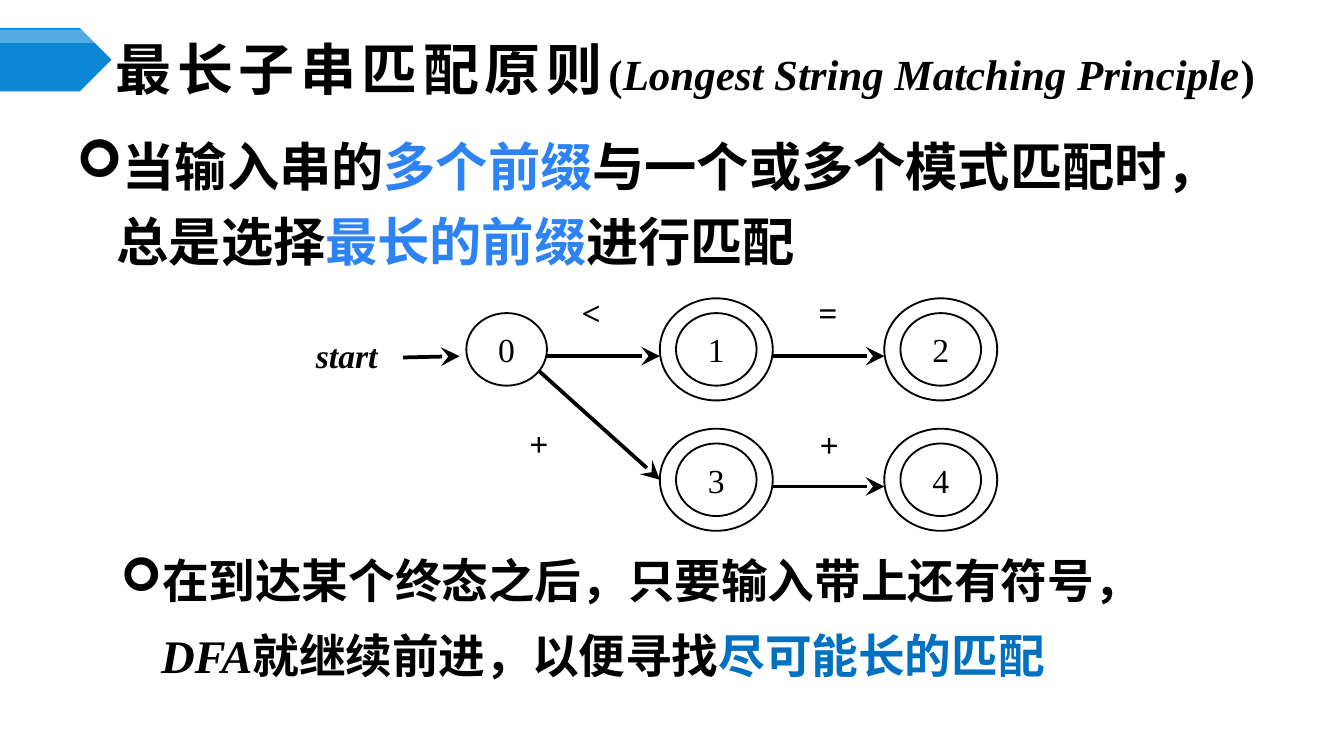
import dataclasses

import pptx
import pptx.dml.color
import pptx.enum.shapes
import pptx.enum.text
import pptx.oxml
import pptx.oxml.ns
import pptx.util

Inches = pptx.util.Inches
Pt = pptx.util.Pt
SHAPES = pptx.enum.shapes.MSO_SHAPE


@dataclasses.dataclass(frozen=True)
class Theme:
    latin: str = "Times New Roman"
    chinese: str = "Noto Sans CJK SC"
    bullet: str = "Wingdings"
    black: str = "000000"
    white: str = "FFFFFF"
    highlight: str = "2D83F4"
    result: str = "0070C0"
    banner: str = "0B87D6"
    title: int = 30
    subtitle: int = 23
    principle: int = 28
    detail: int = 25
    diagram: int = 18
    leading: int = 40


THEME = Theme()


def rgb(value):
    return pptx.dml.color.RGBColor.from_string(value)


def add_element(parent, tag, **attributes):
    element = pptx.oxml.parse_xml(f"<a:{tag} {pptx.oxml.ns.nsdecls('a')}/>")
    for name, value in attributes.items():
        element.set(name, str(value))
    parent.append(element)
    return element


def add_run(paragraph, text, size, color=THEME.black, bold=True, italic=False,
            font=THEME.latin, spacing=0):
    run = paragraph.add_run()
    run.text = text
    run.font.name = font
    run.font.size = Pt(size)
    run.font.bold = bold
    run.font.italic = italic
    run.font.color.rgb = rgb(color)
    properties = run.font._element
    properties.set("lang", "zh-CN")
    if spacing:
        properties.set("spc", str(spacing * 100))
    add_element(properties, "ea", typeface=THEME.chinese)


def add_text_box(shapes, left, top, width, height, wrap=True, middle=False):
    box = shapes.add_textbox(Inches(left), Inches(top), Inches(width), Inches(height))
    box.text_frame.word_wrap = wrap
    if middle:
        box.text_frame.vertical_anchor = pptx.enum.text.MSO_ANCHOR.MIDDLE
    return box


def add_plain_shape(shapes, kind, left, top, width, height, fill=None, outline=None):
    shape = shapes.add_shape(kind, Inches(left), Inches(top), Inches(width), Inches(height))
    shape.shadow.inherit = False
    if fill:
        shape.fill.solid()
        shape.fill.fore_color.rgb = rgb(fill)
    else:
        shape.fill.background()
    if outline:
        shape.line.color.rgb = rgb(outline)
        shape.line.width = Pt(1)
    else:
        shape.line.fill.background()
    return shape


def add_centered_text(shape, text, bold=False, italic=False):
    frame = shape.text_frame
    frame.word_wrap = False
    frame.vertical_anchor = pptx.enum.text.MSO_ANCHOR.MIDDLE
    paragraph = frame.paragraphs[0]
    paragraph.alignment = pptx.enum.text.PP_ALIGN.CENTER
    add_run(paragraph, text, THEME.diagram, bold=bold, italic=italic)


def add_arrow(shapes, start_x, start_y, end_x, end_y):
    arrow = shapes.add_connector(
        pptx.enum.shapes.MSO_CONNECTOR.STRAIGHT,
        Inches(start_x), Inches(start_y), Inches(end_x), Inches(end_y))
    arrow.line.color.rgb = rgb(THEME.black)
    arrow.line.width = Pt(2)
    add_element(arrow.line._get_or_add_ln(), "tailEnd", type="stealth", w="lg", len="lg")
    add_element(arrow._element.spPr, "effectLst")


def add_banner(slide, left, top, width, height):
    shapes = slide.shapes.add_group_shape().shapes
    add_plain_shape(shapes, SHAPES.PENTAGON, left, top, width, height, THEME.banner)
    gloss = add_plain_shape(shapes, SHAPES.PENTAGON, left, top + 0.01, width, 0.1, THEME.white)
    color = gloss._element.spPr.find(".//" + pptx.oxml.ns.qn("a:srgbClr"))
    add_element(color, "alpha", val=30000)


def add_title(slide, left, top, width, height):
    box = add_text_box(slide.shapes, left, top, width, height, middle=True)
    box.text_frame.margin_left = Inches(0.24)
    paragraph = box.text_frame.paragraphs[0]
    add_run(paragraph, "最长子串匹配原则", THEME.title, font=THEME.chinese, spacing=3)
    add_run(paragraph, "(", THEME.subtitle)
    add_run(paragraph, "Longest\u00a0String Matching\u00a0Principle", THEME.subtitle, italic=True)
    add_run(paragraph, ")", THEME.subtitle)


def add_bullet(slide, left, top, width, height, size, runs):
    box = add_text_box(slide.shapes, left, top, width, height)
    paragraph = box.text_frame.paragraphs[0]
    paragraph.line_spacing = Pt(THEME.leading)
    properties = paragraph._element.get_or_add_pPr()
    properties.set("marL", str(Inches(0.3)))
    properties.set("indent", str(-Inches(0.3)))
    add_element(properties, "buFont", typeface=THEME.bullet, charset="2")
    add_element(properties, "buChar", char="➢")
    for text, color, italic in runs:
        add_run(paragraph, text, size, color, italic=italic)


def add_automaton(slide, left, top):
    shapes = slide.shapes.add_group_shape().shapes
    columns = [left + offset for offset in (1.61, 3.17, 4.84)]
    rows = [top + offset for offset in (0.49, 1.46)]
    ring_width, ring_height = 0.84, 0.76
    state_width, state_height = 0.6, 0.54
    states = [("0", 0, 0), ("1", 1, 0), ("2", 2, 0), ("3", 1, 1), ("4", 2, 1)]
    for name, column, row in states:
        x, y = columns[column], rows[row]
        state = add_plain_shape(
            shapes, SHAPES.OVAL, x - state_width / 2, y - state_height / 2,
            state_width, state_height, THEME.white, THEME.black)
        add_centered_text(state, name)
        if column:
            add_plain_shape(
                shapes, SHAPES.OVAL, x - ring_width / 2, y - ring_height / 2,
                ring_width, ring_height, outline=THEME.black)

    ring = ring_width / 2
    add_arrow(shapes, left + 0.84, top + 0.55, left + 1.26, top + 0.54)
    add_arrow(shapes, columns[0] + state_width / 2, rows[0] + 0.05,
              columns[1] - ring, rows[0] + 0.05)
    add_arrow(shapes, columns[0] + 0.24, rows[0] + 0.16, columns[1] - ring, rows[1])
    for y in rows:
        add_arrow(shapes, columns[1] + ring, y + 0.05, columns[2] - ring, y + 0.05)

    labels = [("start", 0, 0.32), ("<", 1.82, 0), ("=", 3.58, 0),
              ("+", 1.43, 0.97), ("+", 3.59, 0.98)]
    for text, x, y in labels:
        label = add_text_box(shapes, left + x, top + y, 0.84, 0.43)
        add_centered_text(label, text, bold=True, italic=text == "start")


def main():
    presentation = pptx.Presentation()
    presentation.slide_width = Inches(10)
    presentation.slide_height = Inches(10 * 9 / 16)
    slide = presentation.slides.add_slide(presentation.slide_layouts[6])
    add_bullet(slide, 0.47, 0.86, 8.66, 1.25, THEME.principle, [
        ("当输入串的", THEME.black, False),
        ("多个前缀", THEME.highlight, False),
        ("与一个或多个模式匹配时，总是选择", THEME.black, False),
        ("最长的前缀", THEME.highlight, False),
        ("进行匹配", THEME.black, False),
    ])
    add_bullet(slide, 0.8, 3.92, 8.33, 1.25, THEME.detail, [
        ("在到达某个终态之后，只要输入带上还有符号，", THEME.black, False),
        ("DFA", THEME.black, True),
        ("就继续前进，以便寻找", THEME.black, False),
        ("尽可能长的匹配", THEME.result, False),
    ])
    add_title(slide, 0.62, 0.31, 9.17, 0.39)
    add_automaton(slide, 2.16, 2.11)
    add_banner(slide, 0, 0.21, 0.83, 0.47)
    presentation.save("out.pptx")


if __name__ == "__main__":
    main()
